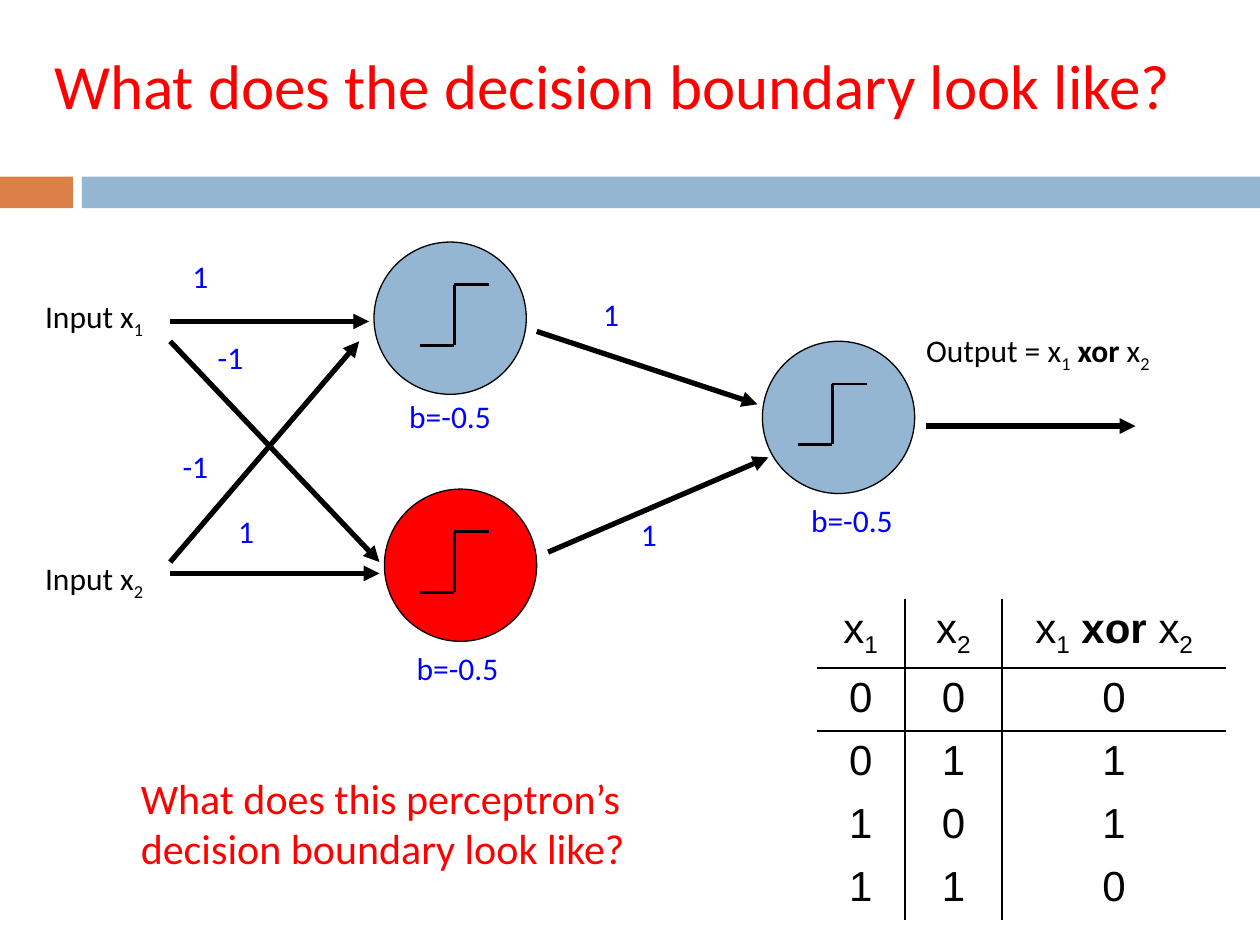
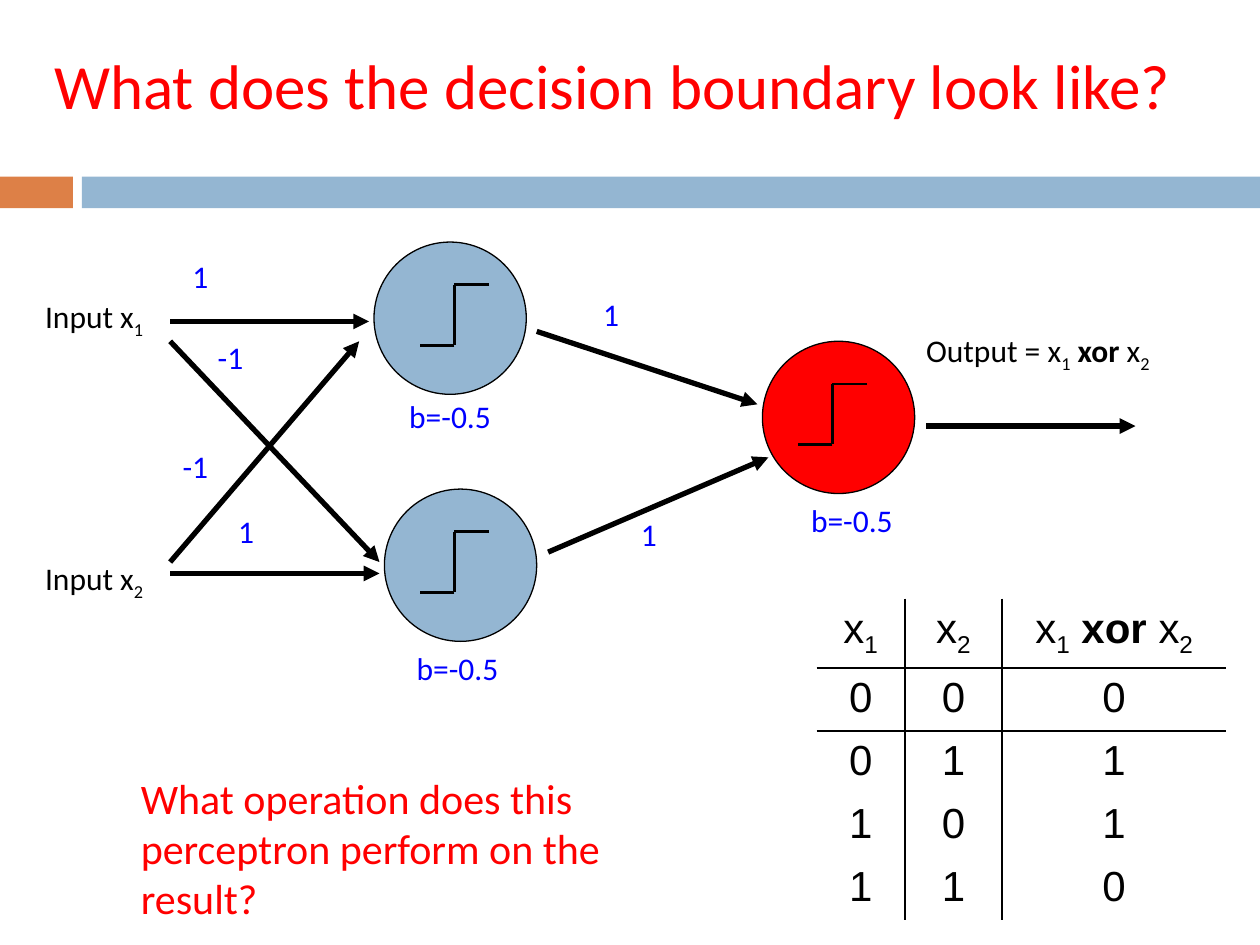
from dataclasses import dataclass
from typing import NamedTuple

import lxml.etree
import pptx
import pptx.dml.color
import pptx.enum.shapes
import pptx.enum.text
import pptx.oxml
import pptx.oxml.ns
import pptx.util

Cm = pptx.util.Cm
Pt = pptx.util.Pt

COLOURS = {
    "black": "000000",
    "blue": "0000FF",
    "red": "FF0000",
    "band": "94B6D2",
    "accent": "DD8047",
}
BODY_FONT, TABLE_FONT = "Calibri", "Arial"
TITLE = "What does the decision boundary look like?"
TITLE_ONLY_LAYOUT = 5
NO_TABLE_STYLE = "{2D5ABB26-0587-4C30-8999-92F81FD0307C}"


class Segment(NamedTuple):
    text: str
    bold: bool = False
    subscript: bool = False


@dataclass(frozen=True)
class Label:
    segments: list[Segment]
    left: float
    top: float
    width: float
    height: float = 1.02
    colour: str = "black"
    size: int = 18


class Arrow(NamedTuple):
    start_x: float
    start_y: float
    end_x: float
    end_y: float


class Neuron(NamedTuple):
    name: str
    left: float
    top: float
    step_left: float


class SlideContent(NamedTuple):
    highlighted: str
    question: str


def variable(prefix: str, index: int) -> list[Segment]:
    return [Segment(prefix), Segment(str(index), subscript=True)]


XOR = [Segment(" xor ", bold=True)] + variable("x", 2)

# Network content, in centimetres
NEURON_DIAMETER = 3.07
STEP_TOP, STEP_HALF_WIDTH, STEP_HEIGHT = 0.86, 0.7, 1.22
NEURONS = [
    Neuron("upper", 7.54, 4.88, 8.46),
    Neuron("lower", 7.75, 9.86, 8.46),
    Neuron("output", 15.37, 6.88, 16.08),
]
ARROWS = [
    Arrow(3.43, 6.48, 7.44, 6.48),
    Arrow(3.43, 6.88, 7.65, 11.33),
    Arrow(3.43, 11.56, 7.65, 11.56),
    Arrow(3.43, 11.33, 7.24, 6.88),
    Arrow(10.82, 6.68, 15.27, 8.15),
    Arrow(11.05, 11.13, 15.49, 9.22),
    Arrow(18.67, 8.59, 22.89, 8.59),
]
WEIGHTS = [
    ("1", 3.63, 5.05),
    ("-1", 4.14, 6.68),
    ("-1", 3.43, 8.89),
    ("1", 4.55, 10.19),
    ("1", 11.91, 5.82),
    ("1", 12.67, 10.26),
]
BIASES = [(8, 7.87), (8.15, 12.95), (16.1, 9.98)]
LABELS = [
    Label(variable("Input x", 1), 0.66, 5.87, 3.18),
    Label(variable("Input x", 2), 0.66, 11.15, 3.18),
    Label(variable("Output = x", 1) + XOR, 18.42, 6.55, 5.59),
    *[Label([Segment(text)], left, top, 0.81 if text == "1" else 1.22, colour="blue")
      for text, left, top in WEIGHTS],
    *[Label([Segment("b=-0.5")], left, top, 2.36, colour="blue") for left, top in BIASES],
]

# Truth table
TABLE_LEFT, TABLE_TOP = 16.46, 12.07
COLUMN_WIDTHS = [1.78, 1.96, 4.52]
HEADER_HEIGHT, ROW_HEIGHT = 1.4, 1.27
HEADER = [variable("x", 1), variable("x", 2), variable("x", 1) + XOR]
TRUTH_ROWS = [[Segment(str(value))] for a in (0, 1) for b in (0, 1) for value in (a, b, a ^ b)]

SLIDES = [
    SlideContent("lower", "What does this perceptron’s decision boundary look like?"),
    SlideContent("output", "What operation does this perceptron perform on the result?"),
]


def rgb(colour: str) -> pptx.dml.color.RGBColor:
    return pptx.dml.color.RGBColor.from_string(COLOURS[colour])


def style_font(font, name: str, size: int, colour: str) -> None:
    font.name = name
    font.size = Pt(size)
    font.color.rgb = rgb(colour)


def write_segments(paragraph, segments: list[Segment], font_name: str, size: int,
                   colour: str) -> None:
    for segment in segments:
        run = paragraph.add_run()
        run.text = segment.text
        style_font(run.font, font_name, size, colour)
        run.font.bold = segment.bold
        if segment.subscript:
            run._r.get_or_add_rPr().set("baseline", "-25000")


def add_filled_shape(slide, kind, left: float, top: float, width: float, height: float,
                     fill: str):
    shape = slide.shapes.add_shape(kind, Cm(left), Cm(top), Cm(width), Cm(height))
    shape.shadow.inherit = False
    shape.fill.solid()
    shape.fill.fore_color.rgb = rgb(fill)
    shape.line.fill.background()
    return shape


def add_line(shapes, arrow: Arrow, width: float, has_head: bool = False) -> None:
    connector = shapes.add_connector(
        pptx.enum.shapes.MSO_CONNECTOR.STRAIGHT, *[Cm(value) for value in arrow])
    connector.line.color.rgb = rgb("black")
    connector.line.width = Pt(width)
    if has_head:
        lxml.etree.SubElement(connector.line._get_or_add_ln(),
                              pptx.oxml.ns.qn("a:tailEnd"), type="triangle")
    lxml.etree.SubElement(connector._element.spPr, pptx.oxml.ns.qn("a:effectLst"))


def add_frame(slide) -> None:
    """Title and the two bands shared by every slide."""
    rectangle = pptx.enum.shapes.MSO_SHAPE.RECTANGLE
    add_filled_shape(slide, rectangle, 0, 3.56, 1.47, 0.64, "accent")
    add_filled_shape(slide, rectangle, 1.65, 3.56, 23.75, 0.64, "band")
    title = slide.shapes.title
    title.left, title.top, title.width, title.height = Cm(0.84), Cm(-0.2), Cm(23.88), Cm(3.81)
    title.text_frame.text = TITLE
    title.text_frame.vertical_anchor = pptx.enum.text.MSO_ANCHOR.MIDDLE
    paragraph = title.text_frame.paragraphs[0]
    paragraph.alignment = pptx.enum.text.PP_ALIGN.LEFT
    style_font(paragraph.runs[0].font, BODY_FONT, 36, "red")


def add_label(slide, label: Label) -> None:
    box = slide.shapes.add_textbox(Cm(label.left), Cm(label.top), Cm(label.width),
                                   Cm(label.height))
    box.text_frame.word_wrap = True
    box.text_frame.auto_size = pptx.enum.text.MSO_AUTO_SIZE.SHAPE_TO_FIT_TEXT
    write_segments(box.text_frame.paragraphs[0], label.segments, BODY_FONT, label.size,
                   label.colour)


def add_neuron(slide, neuron: Neuron, fill: str) -> None:
    circle = add_filled_shape(slide, pptx.enum.shapes.MSO_SHAPE.OVAL, neuron.left, neuron.top,
                              NEURON_DIAMETER, NEURON_DIAMETER, fill)
    circle.line.color.rgb = rgb("black")
    circle.line.width = Pt(0.75)
    # Step function symbol
    left, upper = neuron.step_left, neuron.top + STEP_TOP
    middle, right = left + STEP_HALF_WIDTH, left + 2 * STEP_HALF_WIDTH
    lower = upper + STEP_HEIGHT
    step = slide.shapes.add_group_shape()
    for segment in (Arrow(right, upper, middle, upper), Arrow(middle, upper, middle, lower),
                    Arrow(middle, lower, left, lower)):
        add_line(step.shapes, segment, 1.5)


def set_border(cell, side: str) -> None:
    cell._tc.get_or_add_tcPr().append(pptx.oxml.parse_xml(
        f'<a:ln{side} {pptx.oxml.ns.nsdecls("a")} w="12700"><a:solidFill>'
        f'<a:srgbClr val="{COLOURS["black"]}"/></a:solidFill></a:ln{side}>'))


def add_truth_table(slide) -> None:
    columns = len(COLUMN_WIDTHS)
    cells = HEADER + TRUTH_ROWS
    row_heights = [HEADER_HEIGHT] + [ROW_HEIGHT] * (len(TRUTH_ROWS) // columns)
    frame = slide.shapes.add_table(len(row_heights), columns, Cm(TABLE_LEFT), Cm(TABLE_TOP),
                                   Cm(sum(COLUMN_WIDTHS)), Cm(sum(row_heights)))
    table = frame.table
    table.first_row = table.horz_banding = False
    table._tbl.tblPr.find(pptx.oxml.ns.qn("a:tableStyleId")).text = NO_TABLE_STYLE
    for column, width in zip(table.columns, COLUMN_WIDTHS):
        column.width = Cm(width)
    for row, height in zip(table.rows, row_heights):
        row.height = Cm(height)
    for index, segments in enumerate(cells):
        row_index, column_index = divmod(index, columns)
        cell = table.cell(row_index, column_index)
        borders = {"L": column_index > 0, "R": column_index < columns - 1,
                   "T": row_index == 1, "B": row_index == 0}
        for side, is_drawn in borders.items():
            if is_drawn:
                set_border(cell, side)
        cell.fill.background()
        paragraph = cell.text_frame.paragraphs[0]
        paragraph.alignment = pptx.enum.text.PP_ALIGN.CENTER
        write_segments(paragraph, segments, TABLE_FONT, 24, "black")


def build_slide(presentation, content: SlideContent) -> None:
    slide = presentation.slides.add_slide(presentation.slide_layouts[TITLE_ONLY_LAYOUT])
    add_frame(slide)
    for neuron in NEURONS:
        add_neuron(slide, neuron, "red" if neuron.name == content.highlighted else "band")
    for arrow in ARROWS:
        add_line(slide.shapes, arrow, 3, has_head=True)
    add_truth_table(slide)
    question = Label([Segment(content.question)], 2.59, 15.44, 12.01, 2.31, "red", 24)
    for label in LABELS + [question]:
        add_label(slide, label)


def main() -> None:
    presentation = pptx.Presentation()
    presentation.slide_width, presentation.slide_height = Cm(25.4), Cm(19.05)
    for content in SLIDES:
        build_slide(presentation, content)
    presentation.save("out.pptx")


if __name__ == "__main__":
    main()
